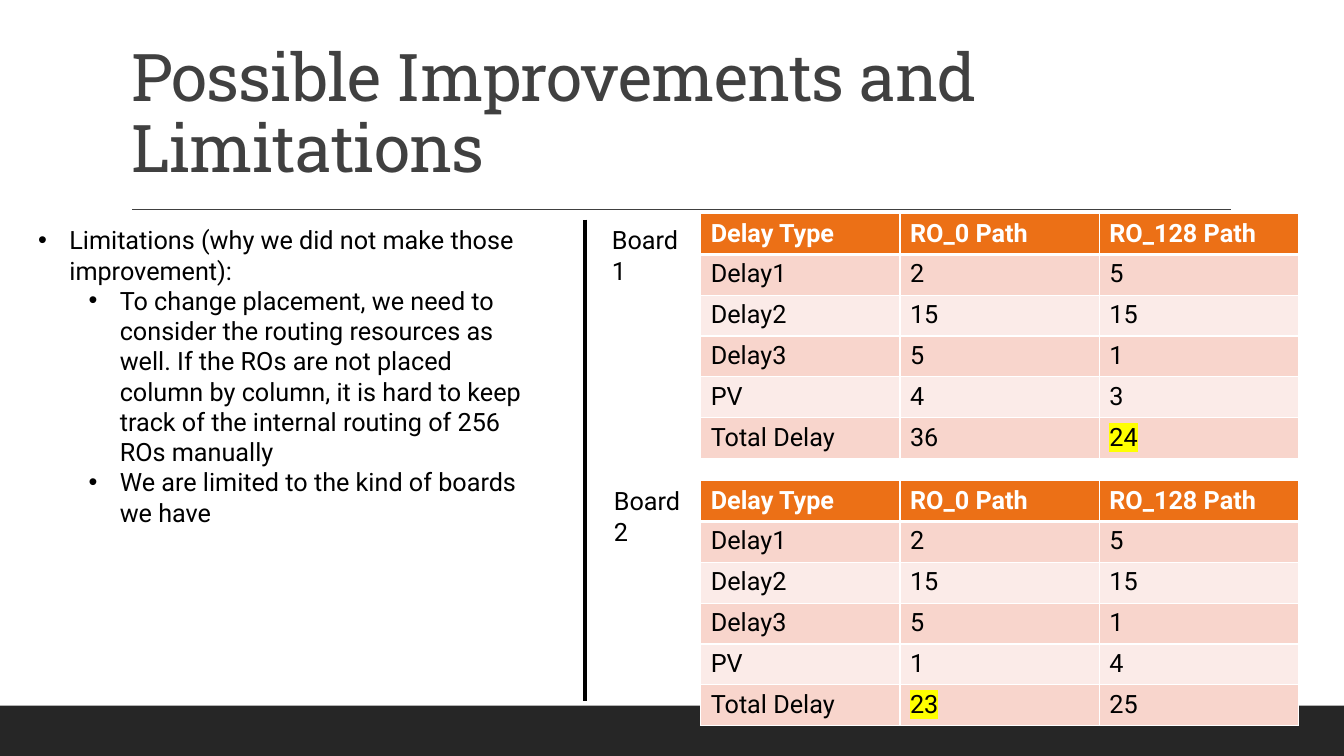
import pptx
import pptx.dml.color
import pptx.enum.shapes
import pptx.enum.text
import pptx.oxml
import pptx.oxml.ns
import pptx.util

Inches = pptx.util.Inches
Pt = pptx.util.Pt


def colour(value):
    return pptx.dml.color.RGBColor.from_string(value)


def element(tag, **attributes):
    node = pptx.oxml.parse_xml(f'<a:{tag} {pptx.oxml.ns.nsdecls("a")}/>')
    for name, value in attributes.items():
        node.set(name, str(value))
    return node


class DelaySlide:
    body_font = "Roboto"
    title_font = "Roboto Slab"
    black = "000000"
    white = "FFFFFF"
    grey = "404040"
    header_fill = "EC7016"
    bands = ("F8D5CC", "FBEBE8")
    highlight = "FFFF00"

    def __init__(self, presentation):
        self.slide = presentation.slides.add_slide(presentation.slide_layouts[5])
        self.shapes = self.slide.shapes

    def format_run(self, run, size=18, font=body_font, ink=black, bold=False):
        run.font.size = Pt(size)
        run.font.name = font
        run.font.bold = bold
        run.font.color.rgb = colour(ink)

    def title(self, wording, left, top, width, height):
        heading = self.shapes.title
        heading.left, heading.top = Inches(left), Inches(top)
        heading.width, heading.height = Inches(width), Inches(height)
        frame = heading.text_frame
        frame.text = wording
        frame.word_wrap = True
        frame.auto_size = pptx.enum.text.MSO_AUTO_SIZE.NONE
        frame.vertical_anchor = pptx.enum.text.MSO_ANCHOR.BOTTOM
        paragraph = frame.paragraphs[0]
        paragraph.alignment = pptx.enum.text.PP_ALIGN.LEFT
        paragraph.line_spacing = 0.9
        run = paragraph.runs[0]
        self.format_run(run, 47, self.title_font, self.grey)
        run.font._element.set("spc", "-50")

    def bar(self, left, top, width, height, fill):
        band = self.shapes.add_shape(
            pptx.enum.shapes.MSO_SHAPE.RECTANGLE,
            Inches(left), Inches(top), Inches(width), Inches(height))
        band.shadow.inherit = False
        band.fill.solid()
        band.fill.fore_color.rgb = colour(fill)
        band.line.fill.background()

    def rule(self, x1, y1, x2, y2, ink, weight):
        divider = self.shapes.add_connector(
            pptx.enum.shapes.MSO_CONNECTOR.STRAIGHT,
            Inches(x1), Inches(y1), Inches(x2), Inches(y2))
        divider.line.color.rgb = colour(ink)
        divider.line.width = Pt(weight)
        divider._element.spPr.append(element("effectLst"))

    def text(self, wording, left, top, width, height):
        frame = self.shapes.add_textbox(
            Inches(left), Inches(top), Inches(width), Inches(height)).text_frame
        frame.word_wrap = True
        frame.text = wording
        for paragraph in frame.paragraphs:
            for run in paragraph.runs:
                self.format_run(run)
        return frame

    def bullets(self, points, left, top, width, height):
        frame = self.text("\n".join(point for level, point in points),
                          left, top, width, height)
        for paragraph, (level, point) in zip(frame.paragraphs, points):
            paragraph.level = level
            properties = paragraph._p.get_or_add_pPr()
            properties.set("marL", str(Inches(0.31 + 0.5 * level)))
            properties.set("indent", str(Inches(-0.31)))
            properties.append(element("buFont", typeface="Arial"))
            properties.append(element("buChar", char="•"))

    def borders(self, cell, bottom):
        properties = cell._tc.get_or_add_tcPr()
        for side, weight in (("L", 1), ("R", 1), ("T", 1), ("B", bottom)):
            edge = element(f"ln{side}", w=Pt(weight))
            paint = element("solidFill")
            paint.append(element("srgbClr", val=self.white))
            edge.append(paint)
            properties.append(edge)

    def mark(self, run):
        marker = element("highlight")
        marker.append(element("srgbClr", val=self.highlight))
        ink = run.font._element.find(pptx.oxml.ns.qn("a:solidFill"))
        ink.addnext(marker)

    def table(self, rows, best, left, top, width, height):
        grid = self.shapes.add_table(
            len(rows), len(rows[0]),
            Inches(left), Inches(top), Inches(width), Inches(height)).table
        for r, row in enumerate(rows):
            header = r == 0
            grid.rows[r].height = Inches(height / len(rows))
            for c, value in enumerate(row):
                cell = grid.cell(r, c)
                self.borders(cell, 3 if header or r == 0 else 1)
                cell.fill.solid()
                cell.fill.fore_color.rgb = colour(
                    self.header_fill if header else self.bands[(r - 1) % 2])
                cell.text_frame.text = value
                run = cell.text_frame.paragraphs[0].runs[0]
                self.format_run(run, ink=self.white if header else self.black,
                                bold=header)
                if (r, c) == best:
                    self.mark(run)


def main():
    presentation = pptx.Presentation()
    presentation.slide_width = Inches(13.33)
    presentation.slide_height = Inches(7.5)
    page = DelaySlide(presentation)

    page.bar(0, 7, 13.33, 0.5, "262626")
    page.rule(1.31, 2.08, 12.21, 2.08, page.grey, 1)
    page.title("Possible Improvements and Limitations", 1.2, 0.31, 11, 1.59)

    header = ("Delay Type", "RO_0 Path", "RO_128 Path")
    shared_delays = [("Delay1", "2", "5"), ("Delay2", "15", "15"), ("Delay3", "5", "1")]
    boards = [
        ("Board\v1", 5.97, 2.18, 2.12, ("4", "3"), ("36", "24"), (5, 2)),
        ("Board\v2", 5.99, 4.77, 4.77, ("1", "4"), ("23", "25"), (5, 1)),
    ]
    for board, left, label_top, table_top, variation, total, best in boards:
        rows = [header, *shared_delays, ("PV", *variation), ("Total Delay", *total)]
        page.table(rows, best, 6.95, table_top, 5.93, 2.43)
        page.text(board, left, label_top, 0.98, 0.4)

    page.rule(5.8, 2.18, 5.8, 6.95, page.black, 3)
    page.bullets([
        (0, "Limitations (why we did not make those improvement):"),
        (1, "To change placement, we need to consider the routing resources as well. "
            "If the ROs are not placed column by column, it is hard to keep track of "
            "the internal routing of 256 ROs manually"),
        (1, "We are limited to the kind of boards we have"),
    ], 0.28, 2.18, 5.11, 2.83)

    presentation.save("out.pptx")


if __name__ == "__main__":
    main()
